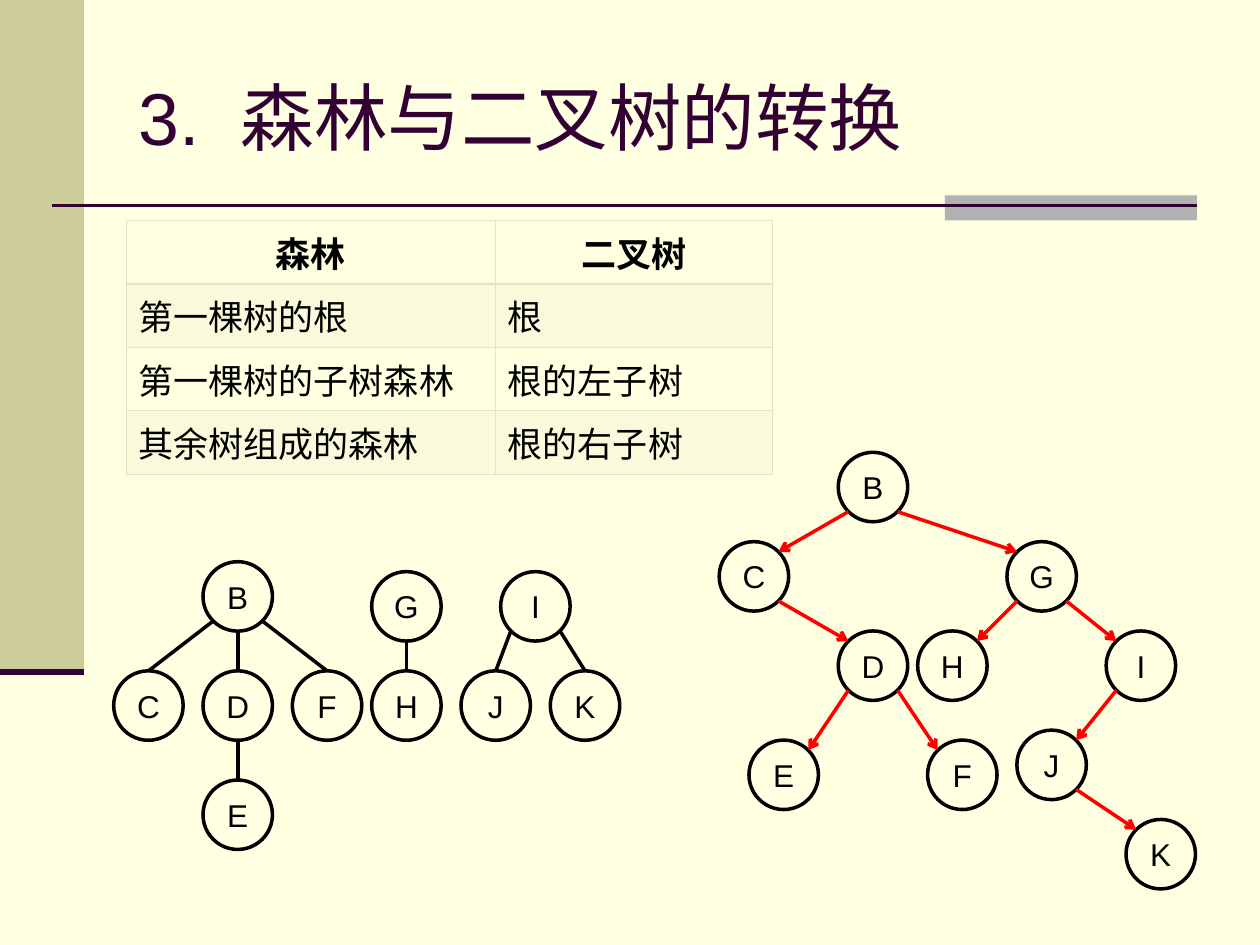
from lxml import etree
from pptx import Presentation
from pptx.dml.color import RGBColor
from pptx.enum.shapes import MSO_CONNECTOR, MSO_SHAPE
from pptx.enum.text import MSO_ANCHOR, MSO_AUTO_SIZE, PP_ALIGN
from pptx.oxml.ns import qn
from pptx.util import Pt

STRAIGHT = MSO_CONNECTOR.STRAIGHT
RECTANGLE, OVAL = MSO_SHAPE.RECTANGLE, MSO_SHAPE.OVAL
LEFT, CENTER = PP_ALIGN.LEFT, PP_ALIGN.CENTER
MIDDLE = MSO_ANCHOR.MIDDLE
NO_AUTOFIT = MSO_AUTO_SIZE.NONE

CREAM, PURPLE, BLACK, RED, BORDER = "FFFFE1", "330033", "000000", "FF0000", "E2E2CA"
TITLE_FONT = {"size": Pt(42), "name": "Arial", "bold": False}
HEADER_FONT = {"size": Pt(20), "name": "Arial", "bold": True}
BODY_FONT = {"size": Pt(20), "name": "Arial", "bold": False}
NODE_FONT = {"size": Pt(18), "name": "Arial", "bold": False}


def color(value):
    return RGBColor.from_string(value)


def format_paragraph(paragraph, alignment, font_format, font_color):
    paragraph.alignment = alignment
    for run in paragraph.runs:
        for attribute, value in font_format.items():
            setattr(run.font, attribute, value)
        run.font.color.rgb = color(font_color)


presentation = Presentation()
presentation.slide_width, presentation.slide_height = Pt(720), Pt(540)
slide = presentation.slides.add_slide(presentation.slide_layouts[5])
slide.background.fill.solid()
slide.background.fill.fore_color.rgb = color(CREAM)

for left, top, width, height, fill in [
    (0, 0, 48, 384, "CCCC99"),
    (540, 111.6, 144, 14.4, "B2B2B2"),
]:
    shape = slide.shapes.add_shape(RECTANGLE, Pt(left), Pt(top), Pt(width), Pt(height))
    shape.shadow.inherit = False
    shape.fill.solid()
    shape.fill.fore_color.rgb = color(fill)
    shape.line.fill.background()

title = slide.shapes.title
title.left, title.top, title.width, title.height = Pt(72), Pt(21.6), Pt(612), Pt(90)
title.text_frame.auto_size = NO_AUTOFIT
title.text_frame.vertical_anchor = MIDDLE
paragraph = title.text_frame.paragraphs[0]
for text in ["3.", " ", "森林与二叉树的转换"]:
    paragraph.add_run().text = text
format_paragraph(paragraph, LEFT, TITLE_FONT, PURPLE)
paragraph.runs[1].font._element.set("spc", "1170")

rows = [
    ("森林", "二叉树"),
    ("第一棵树的根", "根"),
    ("第一棵树的子树森林", "根的左子树"),
    ("其余树组成的森林", "根的右子树"),
]
table = slide.shapes.add_table(4, 2, Pt(72), Pt(126), Pt(369.6), Pt(138.4)).table
table.first_row = table.horz_banding = False
table.columns[0].width, table.columns[1].width = Pt(211), Pt(158.6)
for row_index, row in enumerate(rows):
    for column_index, text in enumerate(row):
        cell = table.cell(row_index, column_index)
        cell.text = text
        header = row_index == 0
        format_paragraph(
            cell.text_frame.paragraphs[0],
            CENTER if header else LEFT,
            HEADER_FONT if header else BODY_FONT,
            BLACK,
        )
        properties = cell._tc.get_or_add_tcPr()
        for side in ("lnL", "lnR", "lnT", "lnB"):
            heavy = (row_index, side) in [(0, "lnB"), (1, "lnT")]
            border = etree.SubElement(properties, qn(f"a:{side}"), w=str(Pt(0.96 if heavy else 0.45)))
            fill = etree.SubElement(border, qn("a:solidFill"))
            etree.SubElement(fill, qn("a:srgbClr"), val=BORDER)
        if row_index % 2:
            cell.fill.solid()
            cell.fill.fore_color.rgb = color(BORDER)
            shade = properties.find(qn("a:solidFill")).find(qn("a:srgbClr"))
            etree.SubElement(shade, qn("a:alpha"), val="20000")
        else:
            cell.fill.background()

UNIT = 5.67
DIAMETER = 7 * UNIT
NEAR, MID, FAR = 0.146 * DIAMETER, 0.5 * DIAMETER, 0.854 * DIAMETER

forest = {
    "origin": (65, 321),
    "nodes": {
        "B": (9, 0), "C": (0, 11), "D": (9, 11), "F": (18, 11), "E": (9, 22),
        "G": (26, 1), "H": (26, 11), "I": (39, 1), "J": (35, 11), "K": (44, 11),
    },
    "edges": ["BC", "BD", "BF", "DE", "GH", "IJ", "IK"],
    "color": BLACK,
    "arrow": False,
}
binary_tree = {
    "origin": (411, 258.5),
    "nodes": {
        "B": (12, 0), "C": (0, 9), "G": (29, 9), "D": (12, 18), "H": (20, 18),
        "I": (39, 18), "E": (3, 29), "F": (21, 29), "J": (30, 28), "K": (41, 37),
    },
    "edges": ["BC", "BG", "CD", "GH", "GI", "DE", "DF", "IJ", "JK"],
    "color": RED,
    "arrow": True,
}

lines = [
    (30, 117.4, 684, 117.4, PURPLE, 1.5, False),
    (0, 384, 48, 384, PURPLE, 3.5, False),
]
for tree in (forest, binary_tree):
    origin_x, origin_y = tree["origin"]
    places = {
        name: (origin_x + column * UNIT, origin_y + row * UNIT)
        for name, (column, row) in tree["nodes"].items()
    }
    for name, (left, top) in places.items():
        node = slide.shapes.add_shape(OVAL, Pt(left), Pt(top), Pt(DIAMETER), Pt(DIAMETER))
        node.shadow.inherit = False
        node.fill.solid()
        node.fill.fore_color.rgb = color(CREAM)
        node.line.color.rgb = color(BLACK)
        node.line.width = Pt(2)
        node.text_frame.text = name
        node.text_frame.word_wrap = False
        node.text_frame.vertical_anchor = MIDDLE
        format_paragraph(node.text_frame.paragraphs[0], CENTER, NODE_FONT, BLACK)
    for parent, child in tree["edges"]:
        (parent_x, parent_y), (child_x, child_y) = places[parent], places[child]
        if child_x == parent_x:
            start_x, start_y, end_x = MID, DIAMETER, MID
        elif child_x < parent_x:
            start_x, start_y, end_x = NEAR, FAR, FAR
        else:
            start_x, start_y, end_x = FAR, FAR, NEAR
        end_y = NEAR
        if not tree["arrow"]:
            end_x, end_y = MID, 0
        lines.append((
            parent_x + start_x, parent_y + start_y, child_x + end_x, child_y + end_y,
            tree["color"], 2, tree["arrow"],
        ))

for start_x, start_y, end_x, end_y, line_color, width, arrow in lines:
    connector = slide.shapes.add_connector(STRAIGHT, Pt(start_x), Pt(start_y), Pt(end_x), Pt(end_y))
    connector.line.color.rgb = color(line_color)
    connector.line.width = Pt(width)
    if arrow:
        etree.SubElement(connector.line._get_or_add_ln(), qn("a:tailEnd"), type="arrow")
    etree.SubElement(connector._element.spPr, qn("a:effectLst"))

presentation.save("out.pptx")
